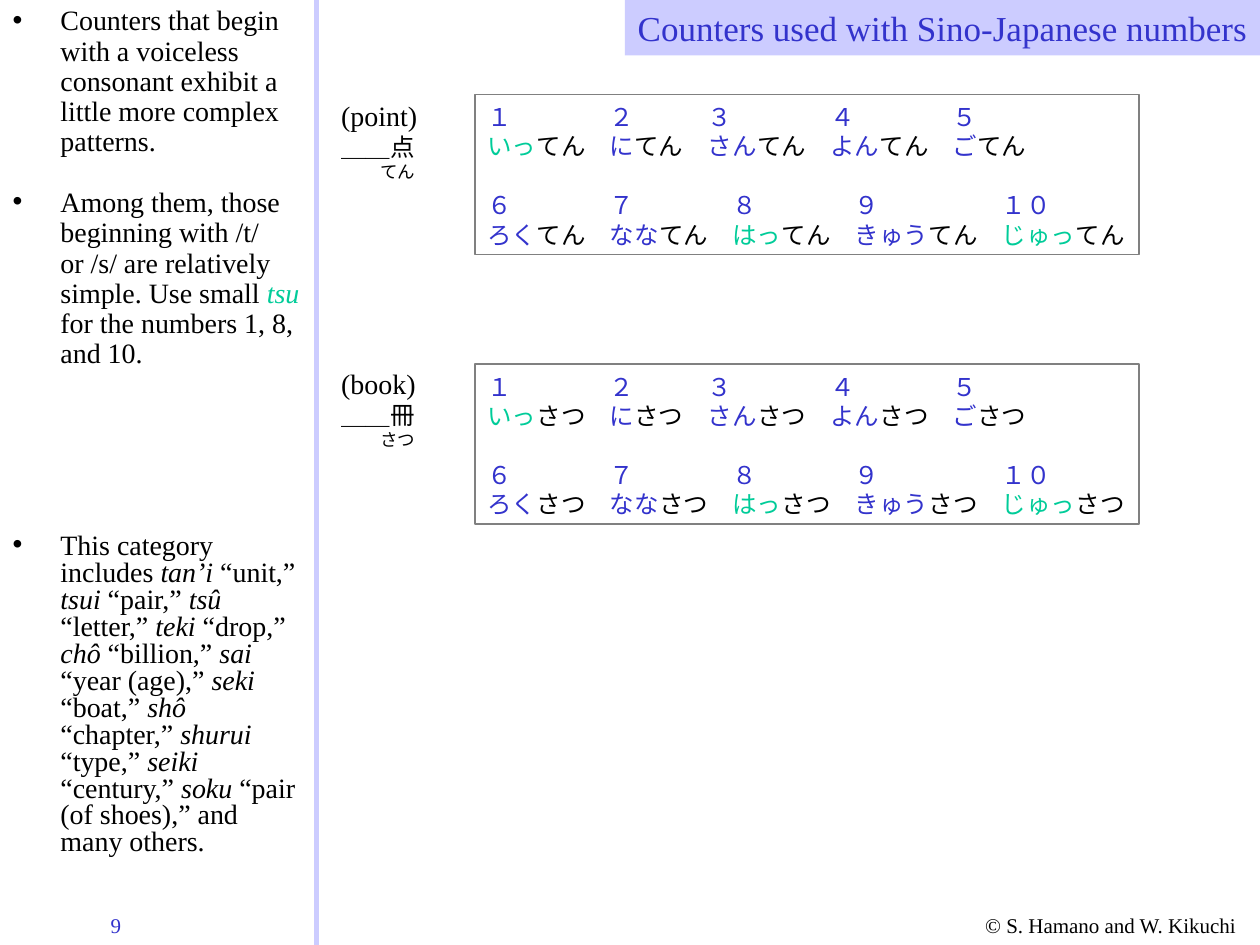
from lxml.etree import SubElement
from pptx import Presentation
from pptx.dml.color import RGBColor
from pptx.enum.shapes import MSO_CONNECTOR, MSO_SHAPE
from pptx.enum.text import MSO_ANCHOR, MSO_AUTO_SIZE, PP_ALIGN
from pptx.oxml.ns import qn
from pptx.util import Inches, Pt

COLORS = {"ink": "000000", "blue": "3333CC", "green": "00CC99",
          "pale": "CCCCFF", "gray": "808080"}
SERIF, KANA = "Times New Roman", "Noto Sans CJK JP"
EM = 14 / 72  # width of one kana in inches
LEAD = 1.2    # line height per point of text size

# numerals, readings, column starts in kana widths
ROWS = (
    ("１ ２ ３ ４ ５", "いっ に さん よん ご", (5, 9, 14, 19)),
    ("６ ７ ８ ９ １０", "ろく なな はっ きゅう じゅっ", (5, 10, 15, 21)),
)
SMALL = {"いっ", "はっ", "じゅっ"}  # readings with small tsu

# top of label, top of box, meaning, kanji, reading
COUNTERS = (
    (0.73, 0.75, "(point)", "点", "てん"),
    (2.86, 2.89, "(book)", "冊", "さつ"),
)

# text between asterisks is italic
RULES = (
    "Counters that begin with a voiceless consonant exhibit a little more "
    "complex patterns.",
    "Among them, those beginning with /t/ or /s/ are relatively simple. "
    "Use small *tsu* for the numbers 1, 8, and 10.",
)
OTHERS = (
    "This category includes *tan’i* “unit,” *tsui* “pair,” *tsû* “letter,” "
    "*teki* “drop,” *chô* “billion,” *sai* “year (age),” *seki* “boat,” "
    "*shô *“chapter,” *shurui* “type,” *seiki* “century,” *soku* “pair (of "
    "shoes),” and many others.",
)


def rgb(name):
    return RGBColor.from_string(COLORS[name])


def place(shape, left, top, width, height):
    shape.left, shape.top = Inches(left), Inches(top)
    shape.width, shape.height = Inches(width), Inches(height)


def style(para, size, color="ink", face=SERIF, tight=1):
    para.line_spacing = Pt(round(size * LEAD * tight, 1))
    para.space_before = Pt(0)
    font = para.font
    font.size, font.name = Pt(size), face
    font.color.rgb = rgb(color)
    base = para._p.pPr.find(qn("a:defRPr"))
    SubElement(base, qn("a:ea"), typeface=face)


def frame(shape, wrap=True):
    text = shape.text_frame
    text.word_wrap = wrap
    text.auto_size = MSO_AUTO_SIZE.NONE
    text.vertical_anchor = MSO_ANCHOR.TOP
    return text


def lines(text):
    """Yield the first paragraph, then new ones."""
    yield text.paragraphs[0]
    while True:
        yield text.add_paragraph()


def add_run(para, words, color=None):
    run = para.add_run()
    run.text = words
    if color:
        run.font.color.rgb = rgb(color)
    return run


def add_list(body, box, items, tight, accent=None):
    place(body, *box)
    text = frame(body)
    for item, para in zip(items, lines(text)):
        props = para._p.get_or_add_pPr()
        props.set("marL", str(Inches(0.38)))
        props.set("indent", str(-Inches(0.38)))
        SubElement(props, qn("a:buChar"), char="•")
        style(para, 16, tight=tight)
        if item != items[0]:
            para.space_before = Pt(17.3)
        for i, words in enumerate(item.split("*")):
            slant = i % 2 == 1
            run = add_run(para, words, accent if slant else None)
            if slant:
                run.font.italic = True


def add_title(title, words):
    place(title, 4.96, 0, 5.04, 0.44)
    title.fill.solid()
    title.fill.fore_color.rgb = rgb("pale")
    text = frame(title, wrap=False)
    text.vertical_anchor = MSO_ANCHOR.MIDDLE
    para = text.paragraphs[0]
    para.text = words
    para.alignment = PP_ALIGN.RIGHT
    style(para, 20, "blue")


def add_note(slide, box, words, color):
    note = slide.shapes.add_textbox(*map(Inches, box))
    para = frame(note, wrap=False).paragraphs[0]
    para.text = words
    style(para, 12, color)


def add_label(slide, top, sense, kanji, sound):
    label = slide.shapes.add_textbox(
        Inches(2.61), Inches(top), Inches(1.17), Inches(0.77))
    parts = ((sense, 16, SERIF), ("＿＿" + kanji, 14, KANA),
             (sound, 10, KANA))
    for (words, size, face), para in zip(parts, lines(frame(label))):
        para.text = words
        style(para, size, face=face)
    para._p.pPr.set("marL", str(Inches(0.31)))


def set_tabs(para, stops):
    tabs = SubElement(para._p.get_or_add_pPr(), qn("a:tabLst"))
    for stop in stops:
        SubElement(tabs, qn("a:tab"), pos=str(Inches(stop * EM)), algn="l")


def add_table_box(slide, top, sound):
    """Box of numerals over their readings, each with the counter."""
    box = slide.shapes.add_shape(
        MSO_SHAPE.RECTANGLE, Inches(3.77), Inches(top),
        Inches(5.27), Inches(1.27))
    box.shadow.inherit = False
    box.fill.background()
    box.line.color.rgb = rgb("gray")
    box.line.width = Pt(0.75)
    text = frame(box)
    text.margin_top, text.margin_right = Inches(0.06), Inches(0.05)
    paras = lines(text)
    for digits, sounds, stops in ROWS:
        head, foot = next(paras), next(paras)
        for para in (head, foot):
            para.alignment = PP_ALIGN.LEFT
            set_tabs(para, stops)
            style(para, 14, "blue", KANA)
        if digits != ROWS[0][0]:
            head.space_before = Pt(16.8)
        add_run(head, digits.replace(" ", "\t"), "blue")
        for i, word in enumerate(sounds.split()):
            gap = "\t" if i else ""
            add_run(foot, gap + word, "green" if word in SMALL else "blue")
            add_run(foot, sound, "ink")


def add_rule(slide):
    rule = slide.shapes.add_connector(
        MSO_CONNECTOR.STRAIGHT, Inches(2.51), 0, Inches(2.51), Inches(7.5))
    rule.line.color.rgb = rgb("pale")
    rule.line.width = Pt(3)
    SubElement(rule._element.spPr, qn("a:effectLst"))


def main():
    deck = Presentation()
    deck.slide_width, deck.slide_height = Inches(10), Inches(7.5)
    slide = deck.slides.add_slide(deck.slide_layouts[3])
    title, rules, others = slide.placeholders
    add_rule(slide)
    add_title(title, "Counters used with Sino-Japanese numbers")
    add_list(rules, (0, 0, 2.51, 3.01), RULES, 0.9, "green")
    add_list(others, (0, 4.19, 2.51, 2.95), OTHERS, 0.8)
    for high, top, sense, kanji, sound in COUNTERS:
        add_label(slide, high, sense, kanji, sound)
        add_table_box(slide, top, sound)
    add_note(slide, (0.78, 7.19, 0.89, 0.3), "9", "blue")
    add_note(slide, (7.72, 7.19, 2.28, 0.3), "© S. Hamano and W. Kikuchi", "ink")
    deck.save("out.pptx")


if __name__ == "__main__":
    main()
